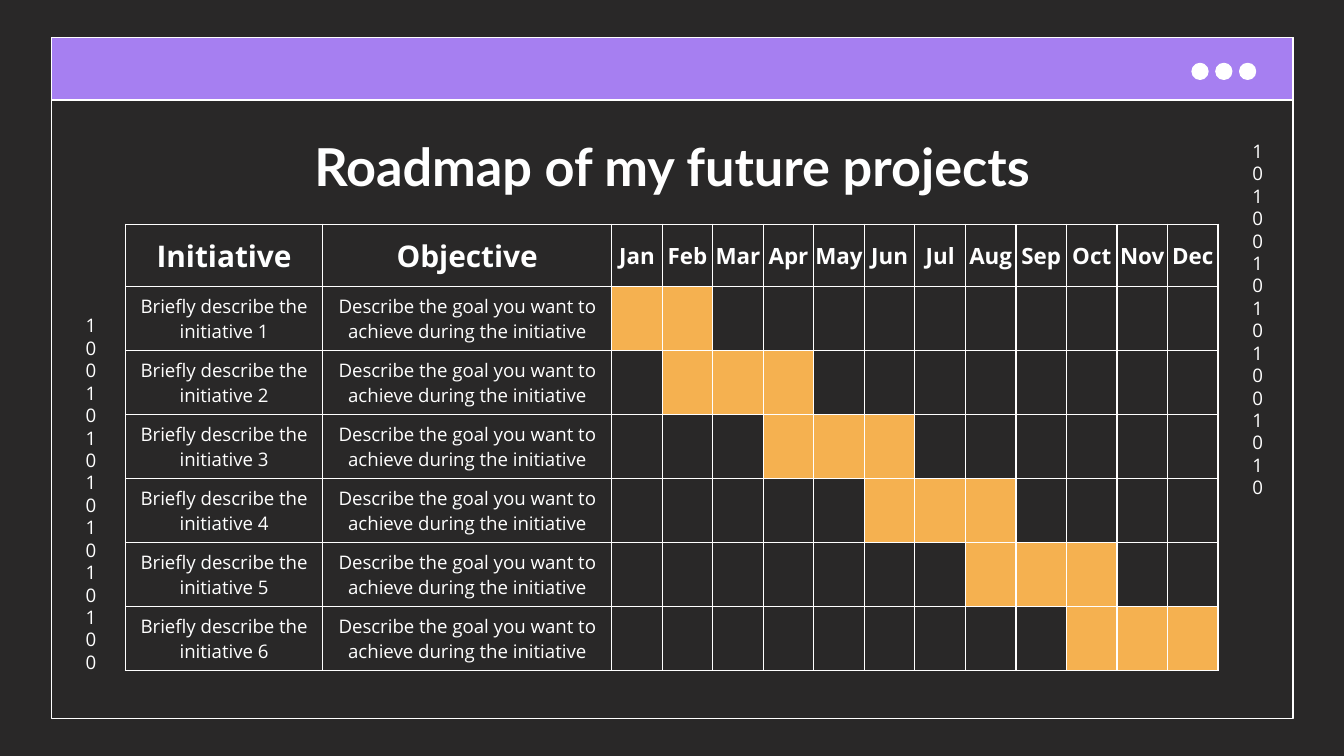
from lxml.etree import SubElement
from pptx import Presentation
from pptx.dml.color import RGBColor
from pptx.enum.shapes import MSO_SHAPE
from pptx.enum.text import MSO_ANCHOR, PP_ALIGN
from pptx.oxml.ns import qn
from pptx.util import Cm, Pt

COLORS = {"background": "292828", "bar": "A67FF1", "white": "FFFFFF", "active": "F5B150"}
MONTHS = ["Jan", "Feb", "Mar", "Apr", "May", "Jun",
          "Jul", "Aug", "Sep", "Oct", "Nov", "Dec"]
# First and last active month of each initiative
SPANS = [("Jan", "Feb"), ("Feb", "Apr"), ("Apr", "Jun"),
         ("Jun", "Aug"), ("Aug", "Oct"), ("Oct", "Dec")]


def color(name):
    return RGBColor.from_string(COLORS[name])


def write_text(text_frame, text, size, bold=False, font_name="Open Sans"):
    text_frame.word_wrap = True
    paragraph = text_frame.paragraphs[0]
    paragraph.text = text
    paragraph.alignment = PP_ALIGN.CENTER
    paragraph.font.name = font_name
    paragraph.font.size = Pt(size)
    paragraph.font.bold = bold
    paragraph.font.color.rgb = color("white")


presentation = Presentation()
presentation.slide_width = Cm(25.4)
presentation.slide_height = Cm(14.29)
slide = presentation.slides.add_slide(presentation.slide_layouts[6])
slide.background.fill.solid()
slide.background.fill.fore_color.rgb = color("background")

# Browser window: frame, title bar and three dots
window_parts = [
    (MSO_SHAPE.RECTANGLE, 0.97, 0.71, 23.47, 12.87, None),
    (MSO_SHAPE.RECTANGLE, 0.97, 0.71, 23.47, 1.18, "bar"),
]
for index in range(3):
    window_parts.append((MSO_SHAPE.OVAL, 22.53 + 0.45 * index, 1.2, 0.3, 0.3, "white"))
for kind, left, top, width, height, fill in window_parts:
    shape = slide.shapes.add_shape(kind, Cm(left), Cm(top), Cm(width), Cm(height))
    shape.shadow.inherit = False
    shape.line.color.rgb = color("white")
    shape.line.width = Pt(0.75)
    if fill:
        shape.fill.solid()
        shape.fill.fore_color.rgb = color(fill)
    else:
        shape.fill.background()

# Title
title = slide.shapes.add_textbox(Cm(2), Cm(2.29), Cm(21.4), Cm(1.6))
title.text_frame.margin_top = title.text_frame.margin_bottom = Cm(0.25)
write_text(title.text_frame, "Roadmap of my future projects", 28, True, "Lato")

# Roadmap table
column_widths = [3.73, 5.46] + [0.955] * len(MONTHS)
row_heights = [1.18] + [1.21] * len(SPANS)
table = slide.shapes.add_table(
    len(row_heights), len(column_widths), Cm(2.37), Cm(4.24),
    Cm(sum(column_widths)), Cm(sum(row_heights))).table
table.first_row = False
table.horz_banding = False
for column, width in zip(table.columns, column_widths):
    column.width = Cm(width)
for row, height in zip(table.rows, row_heights):
    row.height = Cm(height)

# Cell borders come before the fill in the cell properties
for cell in table.iter_cells():
    properties = cell._tc.get_or_add_tcPr()
    for side in ("lnL", "lnR", "lnT", "lnB"):
        border = SubElement(properties, qn(f"a:{side}"), w=str(Pt(0.75)))
        border_fill = SubElement(border, qn("a:solidFill"))
        SubElement(border_fill, qn("a:srgbClr"), val=COLORS["white"])
    cell.fill.background()
    cell.vertical_anchor = MSO_ANCHOR.MIDDLE

# Header row
for index, heading in enumerate(["Initiative", "Objective"] + MONTHS):
    cell = table.cell(0, index)
    is_month = heading in MONTHS
    cell.margin_left = cell.margin_right = Cm(0 if is_month else 0.25)
    cell.margin_top = cell.margin_bottom = Cm(0)
    write_text(cell.text_frame, heading, 12 if is_month else 16, True)

# Initiative rows with their active months
for number, (first, last) in enumerate(SPANS, start=1):
    descriptions = [f"Briefly describe the initiative {number}",
                    "Describe the goal you want to achieve during the initiative"]
    for index, description in enumerate(descriptions):
        cell = table.cell(number, index)
        cell.margin_left = cell.margin_right = Cm(0.13)
        cell.margin_top = cell.margin_bottom = Cm(0.13)
        write_text(cell.text_frame, description, 10)
    for month in range(MONTHS.index(first), MONTHS.index(last) + 1):
        cell = table.cell(number, month + 2)
        cell.fill.solid()
        cell.fill.fore_color.rgb = color("active")

# Binary digits, one to a line because the boxes are so narrow
for digits, left, top in [("1010010101001010", 23.42, 2.39),
                          ("1001010101010100", 1.37, 5.69)]:
    box = slide.shapes.add_textbox(Cm(left), Cm(top), Cm(0.61), Cm(7.11))
    box.text_frame.margin_top = box.text_frame.margin_bottom = Cm(0.25)
    write_text(box.text_frame, digits, 10)

presentation.save("out.pptx")
